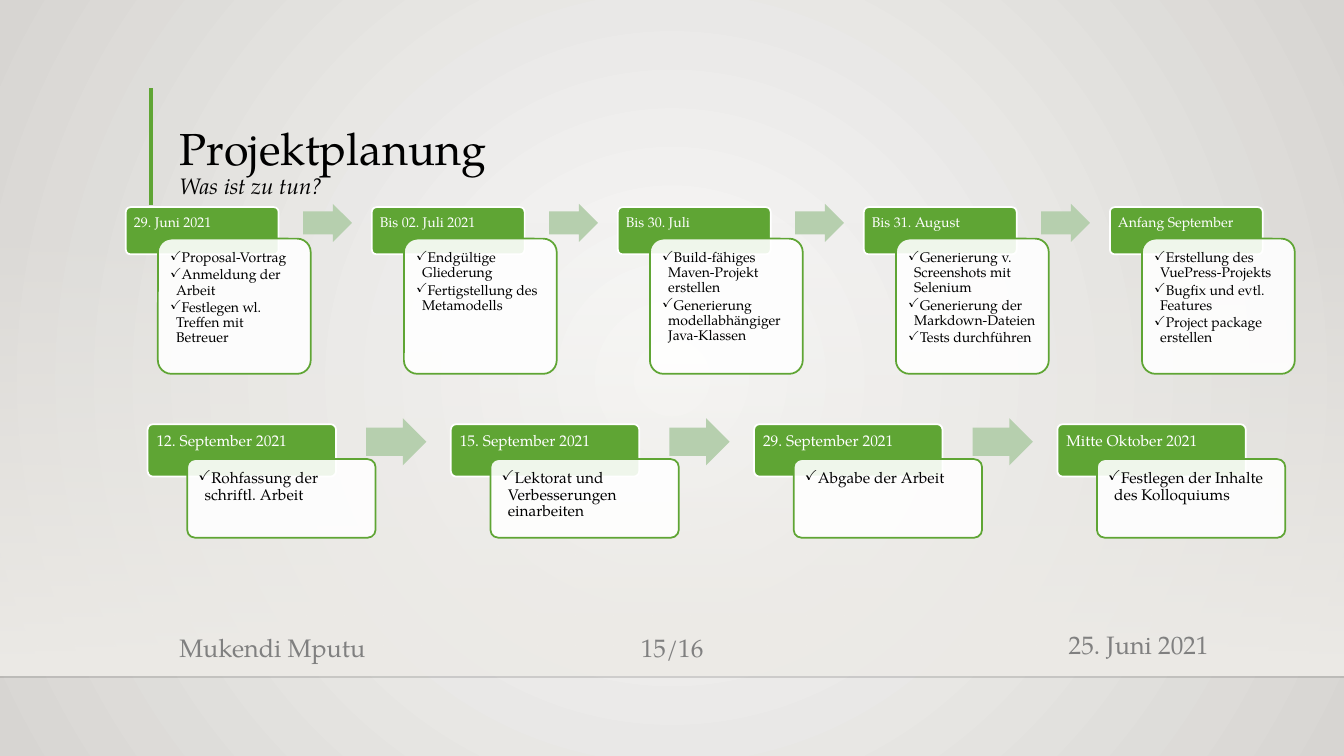
from dataclasses import dataclass

from lxml import etree
from pptx import Presentation
from pptx import util as u
from pptx.dml.color import RGBColor
from pptx.enum import shapes, text
from pptx.oxml import parse_xml
from pptx.oxml.ns import nsdecls, qn


@dataclass(frozen=True)
class Theme:
    font: str = "TeX Gyre Pagella"
    green: str = "5FA534"
    arrow: str = "B6CFAE"
    white: str = "FFFFFF"
    black: str = "000000"
    grey: str = "808080"
    rule: str = "000001"
    band: str = "EDEBE7"
    center: str = "FAFAF9"
    edge: str = "D7D5D2"
    title_size: int = 32
    subtitle_size: int = 16
    footer_size: int = 18
    upper_size: int = 10
    lower_size: int = 11


@dataclass(frozen=True)
class Box:
    """Left, top, width and height in centimetres."""
    left: float
    top: float
    width: float
    height: float

    def lengths(self):
        return [u.Cm(v) for v in (self.left, self.top, self.width, self.height)]


THEME = Theme()
SLIDE = Box(0, 0, 33.87, 19.05)

UPPER_STEPS = [
    ("29. Juni 2021", ["Proposal-Vortrag", "Anmeldung der Arbeit",
                       "Festlegen wl. Treffen mit Betreuer"]),
    ("Bis 02. Juli 2021", ["Endgültige Gliederung", "Fertigstellung des Metamodells"]),
    ("Bis 30. Juli", ["Build-fähiges Maven-Projekt erstellen",
                      "Generierung modellabhängiger Java-Klassen"]),
    ("Bis 31. August", ["Generierung v. Screenshots mit Selenium",
                        "Generierung der Markdown-Dateien", "Tests durchführen"]),
    ("Anfang September", ["Erstellung des VuePress-Projekts",
                          "Bugfix und evtl. Features", "Project package erstellen"]),
]
LOWER_STEPS = [
    ("12. September 2021", ["Rohfassung der schriftl. Arbeit"]),
    ("15. September 2021", ["Lektorat und Verbesserungen einarbeiten"]),
    ("29. September 2021", ["Abgabe der Arbeit"]),
    ("Mitte Oktober 2021", ["Festlegen der Inhalte des Kolloquiums"]),
]


# Formatting helpers
def add_run(paragraph, content, size, color, italic=False):
    run = paragraph.add_run()
    run.text = content
    run.font.name = THEME.font
    run.font.size = u.Pt(size)
    run.font.italic = italic
    run.font.color.rgb = RGBColor.from_string(color)


def set_alpha(fill_parent, percent):
    color = fill_parent.find(".//" + qn("a:srgbClr"))
    etree.SubElement(color, qn("a:alpha")).set("val", str(percent * 1000))


def set_gradient(fill, parent, stops, shading):
    """Fill with (position, color, opacity) stops and the given shading element."""
    fill.gradient()
    stop_xml = "".join(
        f'<a:gs pos="{position * 1000}"><a:srgbClr val="{color}">'
        f'<a:alpha val="{opacity * 1000}"/></a:srgbClr></a:gs>'
        for position, color, opacity in stops)
    gradient = parent.find(".//" + qn("a:gradFill"))
    gradient.getparent().replace(gradient, parse_xml(
        f'<a:gradFill {nsdecls("a")} rotWithShape="1">'
        f"<a:gsLst>{stop_xml}</a:gsLst>{shading}</a:gradFill>"))


def add_shape(slide, kind, box, fill=None, line=None):
    shape = slide.shapes.add_shape(kind, *box.lengths())
    shape.shadow.inherit = False
    if fill:
        shape.fill.solid()
        shape.fill.fore_color.rgb = RGBColor.from_string(fill)
    if line:
        shape.line.color.rgb = RGBColor.from_string(line)
        shape.line.width = u.Pt(1.25)
    else:
        shape.line.fill.background()
    return shape


def add_line(slide, start, end, color, width):
    line = slide.shapes.add_connector(
        shapes.MSO_CONNECTOR.STRAIGHT, *[u.Cm(v) for v in (*start, *end)])
    line.line.color.rgb = RGBColor.from_string(color)
    line.line.width = u.Pt(width)
    etree.SubElement(line._element.spPr, qn("a:effectLst"))
    return line


def add_text_box(slide, box, anchor=text.MSO_ANCHOR.TOP):
    frame = slide.shapes.add_textbox(*box.lengths()).text_frame
    frame.word_wrap = True
    frame.vertical_anchor = anchor
    return frame


def write_card(shape, lines, size, color, inset, bullet=None):
    frame = shape.text_frame
    frame.word_wrap = True
    frame.vertical_anchor = text.MSO_ANCHOR.TOP
    frame.margin_left = frame.margin_top = u.Cm(inset)
    frame.margin_right = frame.margin_bottom = u.Cm(inset)
    for index, content in enumerate(lines):
        paragraph = frame.add_paragraph() if index else frame.paragraphs[0]
        paragraph.alignment = text.PP_ALIGN.LEFT
        paragraph.line_spacing = 0.9
        paragraph.space_after = u.Pt(0.15 * size)
        add_run(paragraph, content, size, color)
        if bullet:
            paragraph.level = 1
            properties = paragraph._p.get_or_add_pPr()
            properties.set("marL", str(u.Cm(0.16)))
            properties.set("indent", str(-u.Cm(0.16)))
            etree.SubElement(properties, qn("a:buFont")).set("typeface", THEME.font)
            etree.SubElement(properties, qn("a:buChar")).set("char", bullet)


# Backdrop with the pale band and its lower rule
def draw_backdrop(slide, box):
    set_gradient(slide.background.fill, slide._element,
                 [(0, THEME.center, 100), (100, THEME.edge, 100)],
                 '<a:path path="circle"><a:fillToRect l="50000" t="50000" '
                 'r="50000" b="50000"/></a:path>')
    band = add_shape(slide, shapes.MSO_SHAPE.RECTANGLE,
                     Box(box.left, box.top + 5.59, box.width, 11.43))
    set_gradient(band.fill, band._element.spPr,
                 [(0, THEME.band, 0), (100, THEME.band, 100)],
                 '<a:lin ang="5400000" scaled="0"/>')
    rule_top = box.top + 17.06
    rule = add_line(slide, (box.left, rule_top), (box.left + box.width, rule_top),
                    THEME.rule, 1)
    set_alpha(rule._element.spPr, 20)


# Title with its accent line
def draw_title(slide, box):
    accent = box.left - 0.46
    add_line(slide, (accent, box.top), (accent, box.top + box.height), THEME.green, 3)
    paragraph = add_text_box(slide, box, text.MSO_ANCHOR.BOTTOM).paragraphs[0]
    paragraph.line_spacing = 0.9
    add_run(paragraph, "Projektplanung", THEME.title_size, THEME.black)
    paragraph.add_line_break()
    add_run(paragraph, "Was ist zu tun?", THEME.subtitle_size, THEME.black, italic=True)


# Author, page number and date
def draw_footer(slide, box):
    align = text.PP_ALIGN
    width = 6.96
    entries = [("Mukendi Mputu", align.LEFT, 0, 0.07),
               ("15/16", align.CENTER, 9.19, 0.07),
               ("25. Juni 2021", align.RIGHT, box.width - width, 0)]
    for content, alignment, shift, drop in entries:
        cell = Box(box.left + shift, box.top + drop, width, box.height)
        paragraph = add_text_box(slide, cell).paragraphs[0]
        paragraph.alignment = alignment
        add_run(paragraph, content, THEME.footer_size, THEME.grey)


# Row of dated cards joined by arrows, scaled to fill the box
def draw_steps(slide, box, steps, size, header_height):
    kinds = shapes.MSO_SHAPE
    width = box.width / (1.61 * (len(steps) - 1) + 1.21)
    body_drop = header_height * 2 / 3
    arrow_height = 0.25 * width
    for index, (date, tasks) in enumerate(steps):
        left = box.left + index * 1.61 * width
        header = add_shape(slide, kinds.ROUNDED_RECTANGLE,
                           Box(left, box.top, width, header_height),
                           THEME.green, THEME.white)
        write_card(header, [date], size, THEME.white, inset=0.017 * size)
        body = add_shape(slide, kinds.ROUNDED_RECTANGLE,
                         Box(left + 0.21 * width, box.top + body_drop, width,
                             box.height - body_drop), THEME.white, THEME.green)
        set_alpha(body._element.spPr, 90)
        write_card(body, tasks, size, THEME.black, inset=0.02 * size, bullet="✓")
        header.adjustments[0] = body.adjustments[0] = 0.1
        if index < len(steps) - 1:
            arrow = add_shape(slide, kinds.RIGHT_ARROW,
                              Box(left + 1.16 * width,
                                  box.top + (body_drop - arrow_height) / 2,
                                  0.32 * width, arrow_height), THEME.arrow)
            arrow.adjustments[0] = 0.6


def main():
    presentation = Presentation()
    presentation.slide_width = u.Cm(SLIDE.width)
    presentation.slide_height = u.Cm(SLIDE.height)
    slide = presentation.slides.add_slide(presentation.slide_layouts[6])
    draw_backdrop(slide, SLIDE)
    draw_footer(slide, Box(4.27, 15.73, 26.44, 1.02))
    draw_title(slide, Box(4.27, 2.22, 26.44, 2.94))
    draw_steps(slide, Box(3.17, 5.22, 29.46, 4.2), UPPER_STEPS, THEME.upper_size, 1.19)
    draw_steps(slide, Box(3.72, 10.69, 28.67, 2.86), LOWER_STEPS, THEME.lower_size, 1.32)
    presentation.save("out.pptx")


if __name__ == "__main__":
    main()
